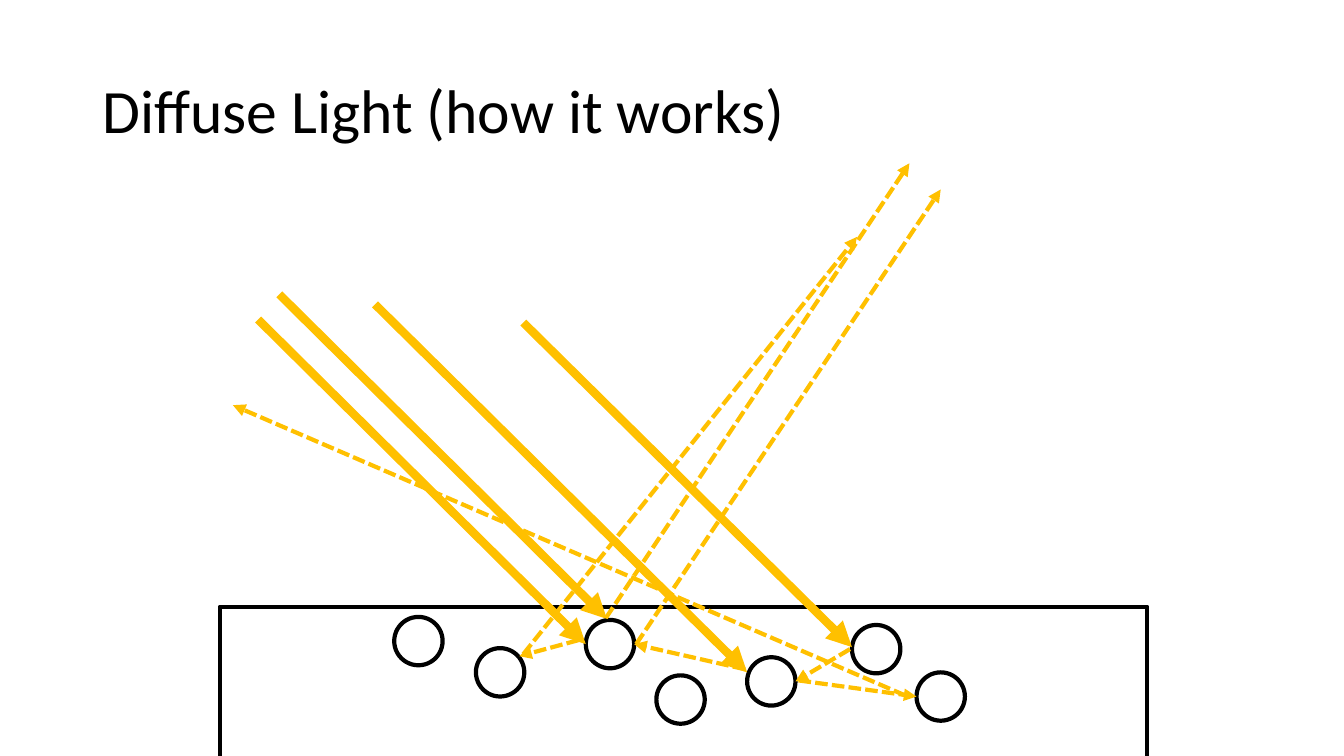
from pptx import Presentation
from pptx.dml.color import RGBColor as RGB
from pptx.enum.dml import MSO_LINE as Dash
from pptx.enum.shapes import MSO_CONNECTOR as Link, MSO_SHAPE as Form
from pptx.enum.text import MSO_ANCHOR as Anchor
from pptx.oxml.ns import qn
from pptx.util import Inches, Pt
from lxml.etree import SubElement as add_node

COLORS = {"ink": "000000", "light": "FFC000"}


class Slide:
    font = "Calibri"
    thin, thick = 3, 6

    def __init__(self, deck):
        self.shapes = deck.slides.add_slide(deck.slide_layouts[6]).shapes

    def stroke(self, line, color, width):
        line.color.rgb = RGB.from_string(COLORS[color])
        line.width = Pt(width)

    def title(self, text, *box, size=44):
        frame = self.shapes.add_textbox(*map(Inches, box)).text_frame
        frame.word_wrap = True
        frame.vertical_anchor = Anchor.MIDDLE
        par = frame.paragraphs[0]
        par.text = text
        par.line_spacing = 0.9
        par.font.name = self.font
        par.font.size = Pt(size)
        par.font.color.rgb = RGB.from_string(COLORS["ink"])

    def outline(self, form, *box):
        shape = self.shapes.add_shape(form, *map(Inches, box))
        shape.shadow.inherit = False
        shape.fill.background()
        self.stroke(shape.line, "ink", self.thin)

    def ray(self, start, end, bounced=False):
        arrow = self.shapes.add_connector(
            Link.STRAIGHT, *map(Inches, start + end))
        line = arrow.line
        self.stroke(line, "light", self.thin if bounced else self.thick)
        if bounced:
            line.dash_style = Dash.SQUARE_DOT
        props = arrow._element.spPr
        add_node(props.find(qn("a:ln")), qn("a:tailEnd"), type="triangle")
        add_node(props, qn("a:effectLst"))


deck = Presentation()
deck.slide_width, deck.slide_height = Inches(13.33), Inches(7.5)
slide = Slide(deck)

# Surface and title
slide.outline(Form.RECTANGLE, 2.18, 6.02, 9.2, 1.74)
slide.title("Diffuse Light (how it works)", 0.92, 0.4, 11.5, 1.45)

# Particles below the surface
SIZE = 0.48
for left, top in [(3.91, 6.12), (4.72, 6.43), (5.81, 6.15), (6.51, 6.7),
                  (7.41, 6.52), (8.45, 6.2), (9.09, 6.67)]:
    slide.outline(Form.OVAL, left, top, SIZE, SIZE)

# Incoming light
for start, end in [((2.56, 3.17), (5.81, 6.39)),
                   ((2.77, 2.92), (6.02, 6.14)),
                   ((3.72, 3.02), (7.41, 6.67)),
                   ((5.19, 3.2), (8.45, 6.42))]:
    slide.ray(start, end)

# Light bounced between particles and back out
for start, end in [((5.74, 6.35), (5.15, 6.51)),
                   ((5.19, 6.49), (8.5, 2.35)),
                   ((6.01, 6.13), (9.02, 1.62)),
                   ((7.39, 6.64), (6.29, 6.39)),
                   ((6.31, 6.39), (9.33, 1.88)),
                   ((8.43, 6.44), (7.89, 6.76)),
                   ((7.92, 6.75), (9.09, 6.91)),
                   ((8.98, 6.9), (2.31, 4.02))]:
    slide.ray(start, end, bounced=True)

deck.save("out.pptx")
